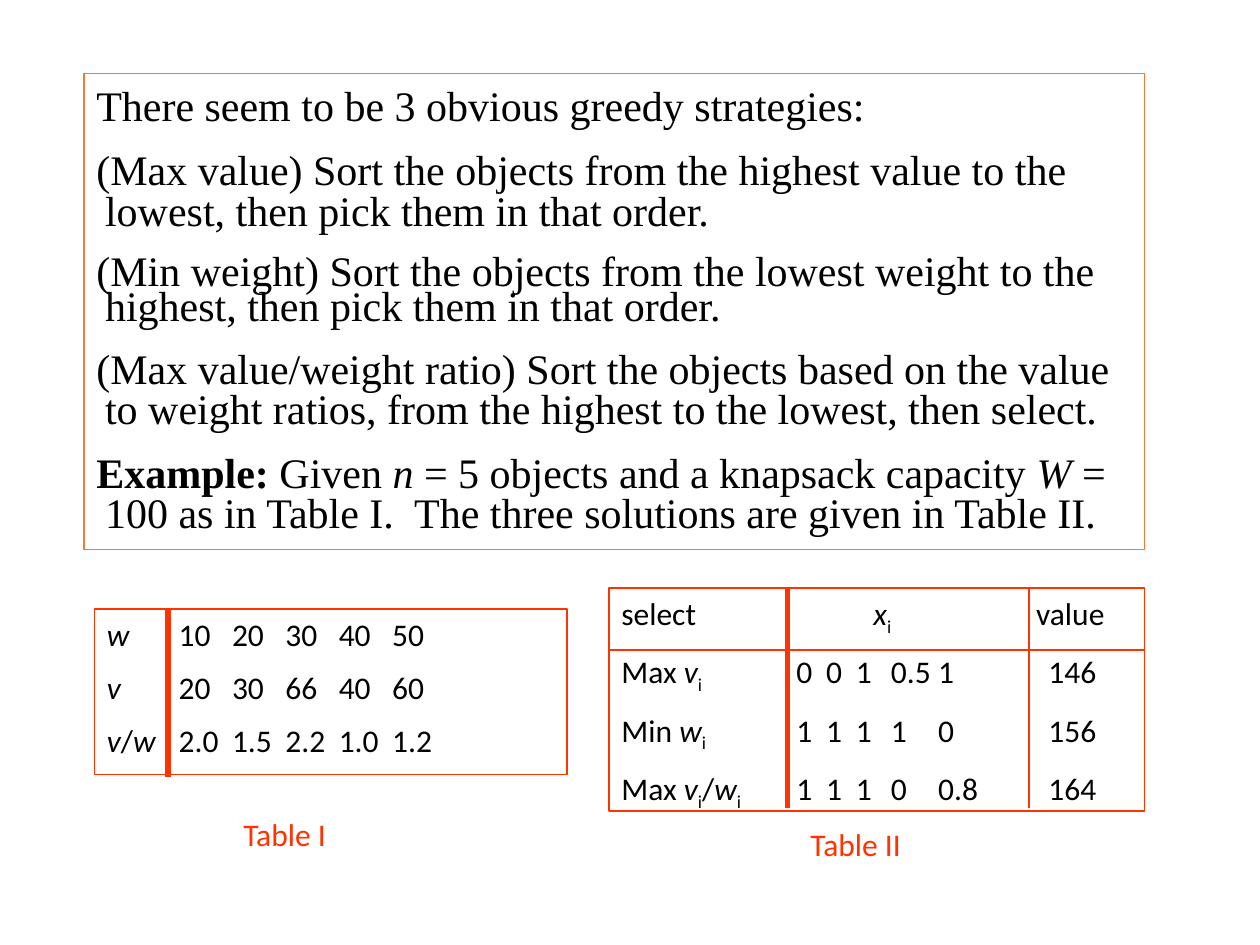
from dataclasses import dataclass

from lxml import etree
from pptx import Presentation
from pptx import util as u
from pptx.dml.color import RGBColor
from pptx.enum import shapes, text
from pptx.oxml.ns import qn

Pt = u.Pt


@dataclass(frozen=True)
class Theme:
    ink: str = "000000"
    red: str = "FF3300"
    edge: str = "ED7D31"
    serif: str = "Times New Roman"
    sans: str = "Calibri"
    big: float = 24
    small: float = 18
    thin: float = 0.75
    thick: float = 3


T = Theme()

# Text: a paragraph is a list of (words, style) pairs
PROSE = [
    (1, [("There seem to be 3 obvious greedy strategies:", "")]),
    (0.8, [("(Max value) Sort the objects from the highest value to the lowest, "
            "then pick them in that order.", "")]),
    (0.7, [("(Min weight) Sort the objects from the lowest weight to the highest, "
            "then pick them in that order.", "")]),
    (0.8, [("(Max value/weight ratio) Sort the objects based on the value to "
            "weight ratios, from the highest to the lowest, then select.", "")]),
    (0.8, [("Example:", "b"), (" Given ", ""), ("n", "i"),
           (" = 5 objects and a knapsack capacity ", ""), ("W", "i"),
           (" = 100 as in Table I.  The three solutions are given in Table II.", "")]),
]
ITEMS = [
    ([("w", "i")], "10 20 30 40 50"),
    ([("v", "i")], "20 30 66 40 60"),
    ([("v", "i"), ("/", ""), ("w", "i")], "2.0 1.5 2.2 1.0 1.2"),
]
PICKS = [
    ([("Max ", ""), ("v", "i"), ("i", "sub")], "0 0 1 0.5 1 146"),
    ([("Min ", ""), ("w", "i"), ("i", "sub")], "1 1 1 1 0 156"),
    ([("Max ", ""), ("v", "i"), ("i", "sub"), ("/", ""), ("w", "i"), ("i", "sub")],
     "1 1 1 0 0.8 164"),
]
HEAD = [("select\t", ""), ("x", "i"), ("i", "sub"), ("\tvalue", "")]

# Tab stops, measured from the text edge of each box
ITEM_TABS = [41 + 30.5 * i for i in range(5)]
HEAD_TABS = [144, 237]
PICK_TABS = [100, 117, 134, 154, 181, 244]


def paint(run, face, size, tint, style=""):
    font = run.font
    font.name, font.size = face, Pt(size)
    font.color.rgb = RGBColor.from_string(tint)
    font.bold, font.italic = style == "b", style == "i"
    if style == "sub":
        run.font._element.set("baseline", "-25000")


def write(para, parts, face, size, gap, tabs=()):
    for words, style in parts:
        run = para.add_run()
        run.text = words
        paint(run, face, size, T.ink, style)
    para.alignment = text.PP_ALIGN.LEFT
    para.space_before = Pt(gap)
    if tabs:
        stops = etree.SubElement(para._p.get_or_add_pPr(), qn("a:tabLst"))
        for stop in tabs:
            etree.SubElement(stops, qn("a:tab"), pos=str(Pt(stop)), algn="l")


def box(slide, left, top, width, height, edge):
    shape = slide.shapes.add_shape(shapes.MSO_SHAPE.RECTANGLE,
                                   Pt(left), Pt(top), Pt(width), Pt(height))
    shape.shadow.inherit = False
    shape.fill.background()
    shape.line.color.rgb = RGBColor.from_string(edge)
    shape.line.width = Pt(T.thin)
    frame = shape.text_frame
    frame.word_wrap = True
    frame.vertical_anchor = text.MSO_ANCHOR.TOP
    return frame


def lines(frame, count):
    for _ in range(count - 1):
        frame.add_paragraph()
    return frame.paragraphs


def row(label, cells):
    return label + [("\t" + "\t".join(cells.split()), "")]


def rule(slide, x1, y1, x2, y2, width):
    line = slide.shapes.add_connector(shapes.MSO_CONNECTOR.STRAIGHT,
                                      Pt(x1), Pt(y1), Pt(x2), Pt(y2))
    line.line.color.rgb = RGBColor.from_string(T.red)
    line.line.width = Pt(width)
    etree.SubElement(line._element.spPr, qn("a:effectLst"))


def label(slide, left, top, width, words):
    frame = slide.shapes.add_textbox(Pt(left), Pt(top), Pt(width), Pt(29)).text_frame
    frame.word_wrap = True
    frame.text = words
    paint(frame.paragraphs[0].runs[0], T.sans, T.small, T.red)


def prose(slide):
    frame = box(slide, 48, 42, 606, 272, T.edge)
    for para, (space, parts) in zip(lines(frame, len(PROSE)), PROSE):
        para.line_spacing = space
        write(para, parts, T.serif, T.big, 13.5)
        props = para._p.get_or_add_pPr()
        props.set("marL", str(Pt(5)))
        props.set("indent", str(Pt(-5)))


def grid(slide, spot, rows):
    frame = box(slide, *spot, T.red)
    for para, (parts, tabs) in zip(lines(frame, len(rows)), rows):
        write(para, parts, T.sans, T.small, 8.7, tabs)


def main():
    deck = Presentation()
    deck.slide_width, deck.slide_height = Pt(720), Pt(540)
    slide = deck.slides.add_slide(deck.slide_layouts[6])

    # Strategies
    prose(slide)

    # Table I: the objects
    grid(slide, (54, 348, 270, 94.5), [(row(*item), ITEM_TABS) for item in ITEMS])
    rule(slide, 96, 348, 96, 444, T.thick)
    label(slide, 132, 462, 72, "Table I")

    # Table II: the solutions
    grid(slide, (348, 336, 306, 127.5),
         [(HEAD, HEAD_TABS)] + [(row(*pick), PICK_TABS) for pick in PICKS])
    rule(slide, 450, 336, 450, 462, T.thick)
    rule(slide, 348, 371.5, 654, 371.5, T.thin)
    rule(slide, 588, 336, 588, 462, T.thin)
    label(slide, 456, 468, 96, "Table II")

    deck.save("out.pptx")


if __name__ == "__main__":
    main()
